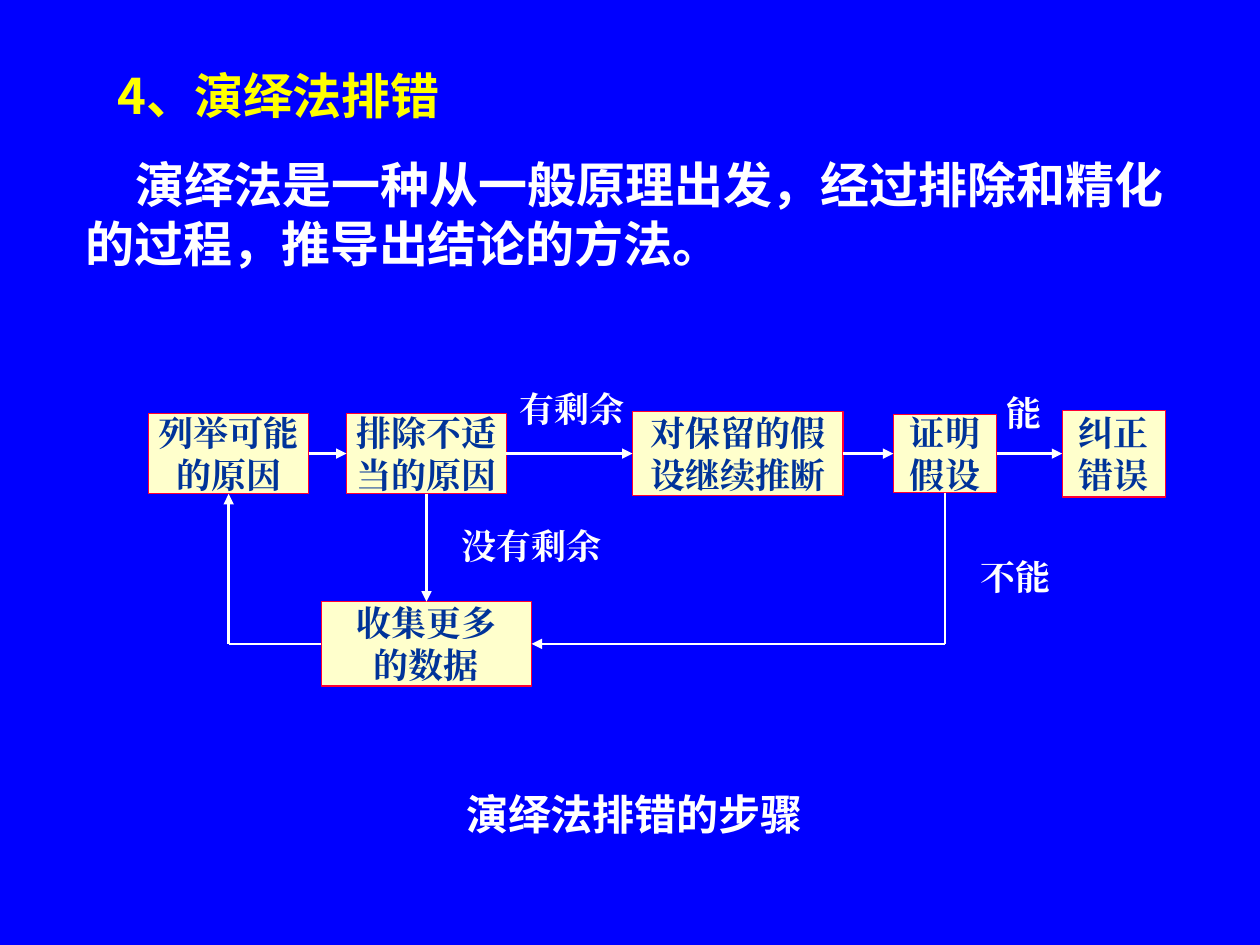
from lxml.etree import SubElement
from pptx import Presentation
from pptx.dml.color import RGBColor
from pptx.enum.shapes import MSO_CONNECTOR, MSO_SHAPE
from pptx.enum.text import MSO_ANCHOR, PP_ALIGN
from pptx.oxml import parse_xml
from pptx.oxml.ns import nsdecls, qn
from pptx.util import Inches, Pt

# Content
TITLE = "4、演绎法排错"
BODY = "演绎法是一种从一般原理出发，经过排除和精化的过程，推导出结论的方法。"
CAPTION = "演绎法排错的步骤"
ROW_Y = 3.6    # centre line of the main row
LOOP_Y = 5.11  # centre line of the feedback row
BOXES = {      # name: (lines, left, centre y, width, height)
    "list": ("列举可能\n的原因", 1.18, ROW_Y, 1.27, 0.64),
    "exclude": ("排除不适\n当的原因", 2.75, ROW_Y, 1.27, 0.64),
    "refine": ("对保留的假\n设继续推断", 5.02, ROW_Y, 1.67, 0.67),
    "prove": ("证明\n假设", 7.09, ROW_Y, 0.82, 0.62),
    "fix": ("纠正\n错误", 8.43, ROW_Y, 0.82, 0.69),
    "collect": ("收集更多\n的数据", 2.55, LOOP_Y, 1.67, 0.67),
}
LABELS = [     # text, left, top, width
    ("没有剩余", 3.51, 4.11, 1.42),
    ("不能", 7.65, 4.36, 0.82),
    ("能", 7.72, 3.06, 0.82),
    ("有剩余", 3.83, 3.03, 1.42),
]
SANS, SERIF = "Noto Sans CJK SC", "Times New Roman"
WHITE, YELLOW, NAVY, CREAM, RED = "FFFFFF", "FFFF00", "003399", "FFFFCC", "FF0033"
TOP, LEFT, BOTTOM, RIGHT = range(4)


def rgb(value):
    return RGBColor.from_string(value)


def write(tf, text, size=20, font=SERIF, color=WHITE, align=PP_ALIGN.CENTER,
          anchor=MSO_ANCHOR.TOP, wrap=True):
    tf.word_wrap = wrap
    tf.vertical_anchor = anchor
    for i, line in enumerate(text.split("\n")):
        p = tf.paragraphs[0] if i == 0 else tf.add_paragraph()
        p.alignment = align
        r = p.add_run()
        r.text = line
        r.font.size, r.font.bold, r.font.name = Pt(size), True, font
        r.font.color.rgb = rgb(color)
        SubElement(r._r.get_or_add_rPr(), qn("a:ea"), typeface=font)
    return tf


def textbox(text, left, top, width, height, **fmt):
    sp = s.shapes.add_textbox(*map(Inches, (left, top, width, height)))
    return write(sp.text_frame, text, **fmt)


def box(text, left, center_y, width, height):
    sp = s.shapes.add_shape(MSO_SHAPE.RECTANGLE, Inches(left), Inches(center_y - height / 2),
                            Inches(width), Inches(height))
    sp.shadow.inherit = False
    sp.fill.solid()
    sp.fill.fore_color.rgb = rgb(CREAM)
    sp.line.color.rgb = rgb(RED)
    sp.line.width = Pt(0.75)
    write(sp.text_frame, text, color=NAVY, anchor=MSO_ANCHOR.MIDDLE, wrap=False)
    return sp


def connect(start, end, arrow=True):
    """Each end is an (x, y) point or a (box, side) pair."""
    c = s.shapes.add_connector(MSO_CONNECTOR.STRAIGHT, 0, 0, 0, 0)
    if start[0] in shapes:
        c.begin_connect(shapes[start[0]], start[1])
    else:
        c.begin_x, c.begin_y = start
    if end[0] in shapes:
        c.end_connect(shapes[end[0]], end[1])
    else:
        c.end_x, c.end_y = end
    c.line.color.rgb = rgb(WHITE)
    c.line.width = Pt(1.5)
    if arrow:
        SubElement(c.line._get_or_add_ln(), qn("a:tailEnd"), type="triangle")
    SubElement(c._element.spPr, qn("a:effectLst"))


prs = Presentation()
prs.slide_width, prs.slide_height = Inches(10), Inches(7.5)
s = prs.slides.add_slide(prs.slide_layouts[5])
s.background.fill.solid()
s.background.fill.fore_color.rgb = rgb("0000FF")

# Title with a hard text shadow
title = s.shapes.title
title.left, title.top, title.width, title.height = map(Inches, (0.83, 0.25, 8.5, 1))
tf = write(title.text_frame, TITLE, size=28, font=SANS, color=YELLOW,
           align=PP_ALIGN.LEFT, anchor=MSO_ANCHOR.MIDDLE)
rPr = tf.paragraphs[0].runs[0]._r.rPr
rPr.find(qn("a:solidFill")).addnext(parse_xml(
    f'<a:effectLst {nsdecls("a")}><a:outerShdw dist="38100" dir="2700000">'
    '<a:srgbClr val="000000"/></a:outerShdw></a:effectLst>'))

# Definition with a first-line indent
tf = textbox(BODY, 0.37, 1.18, 9.18, 1.26, size=28, font=SANS, align=PP_ALIGN.LEFT)
pPr = tf.paragraphs[0]._p.get_or_add_pPr()
pPr.set("marL", str(Inches(0.21)))
pPr.set("indent", str(Inches(0.4)))

# Flow chart boxes
shapes = {name: box(*spec) for name, spec in BOXES.items()}

# Arrows along the main row, then the feedback loop
row = ["list", "exclude", "refine", "prove", "fix"]
for a, b in zip(row, row[1:]):
    connect((a, RIGHT), (b, LEFT))
connect(("exclude", BOTTOM), ("collect", TOP))
for begin, begin_side, end, end_side, corner_over in [
        ("prove", BOTTOM, "collect", RIGHT, "prove"),
        ("collect", LEFT, "list", BOTTOM, "list")]:
    over = shapes[corner_over]
    corner = (over.left + over.width // 2, Inches(LOOP_Y))
    connect((begin, begin_side), corner, arrow=False)
    connect(corner, (end, end_side))

# Branch labels and caption
for text, left, top, width in LABELS:
    textbox(text, left, top, width, 0.43)
textbox(CAPTION, 1.84, 6.21, 6.39, 0.5, size=24, font=SANS)

prs.save("out.pptx")
